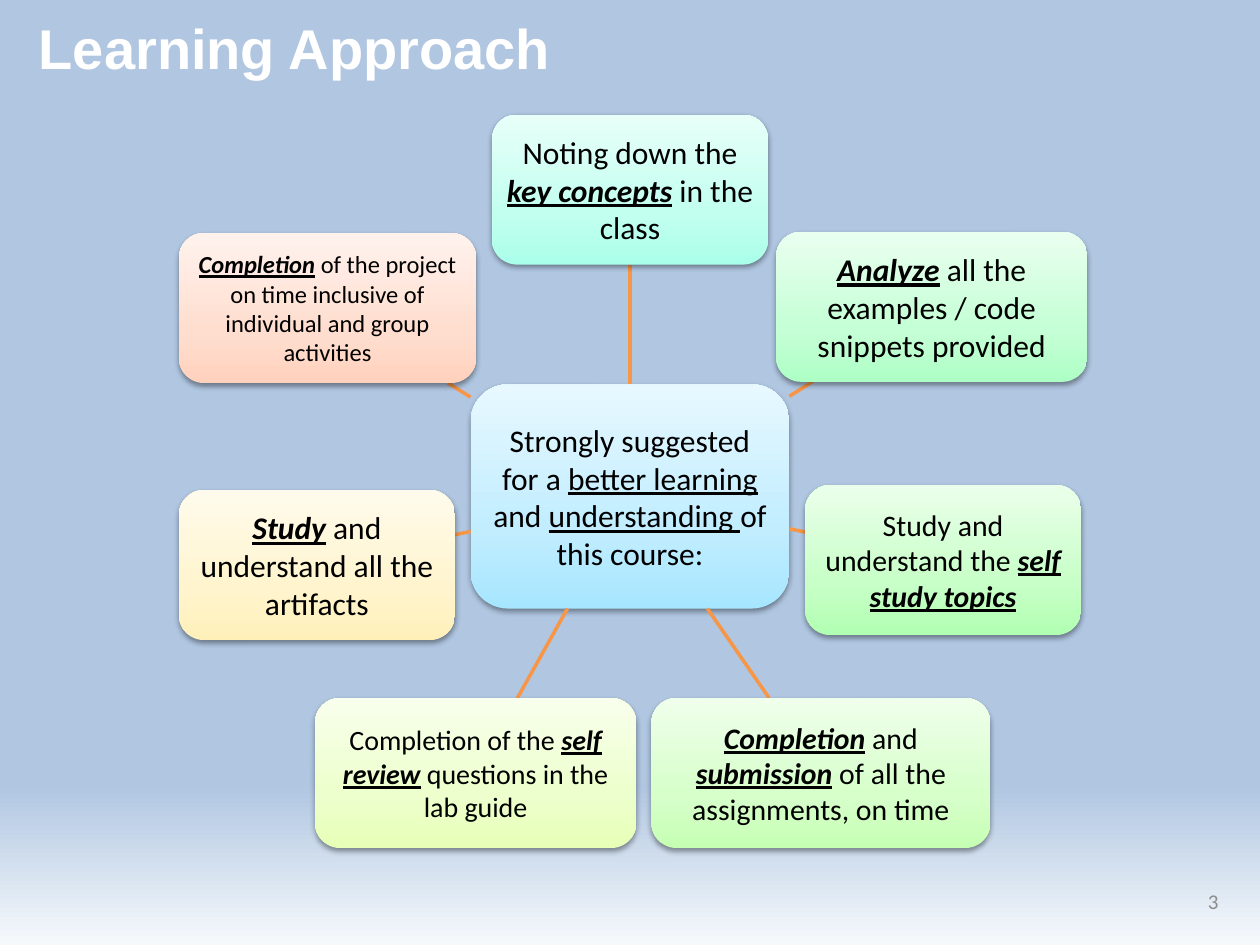
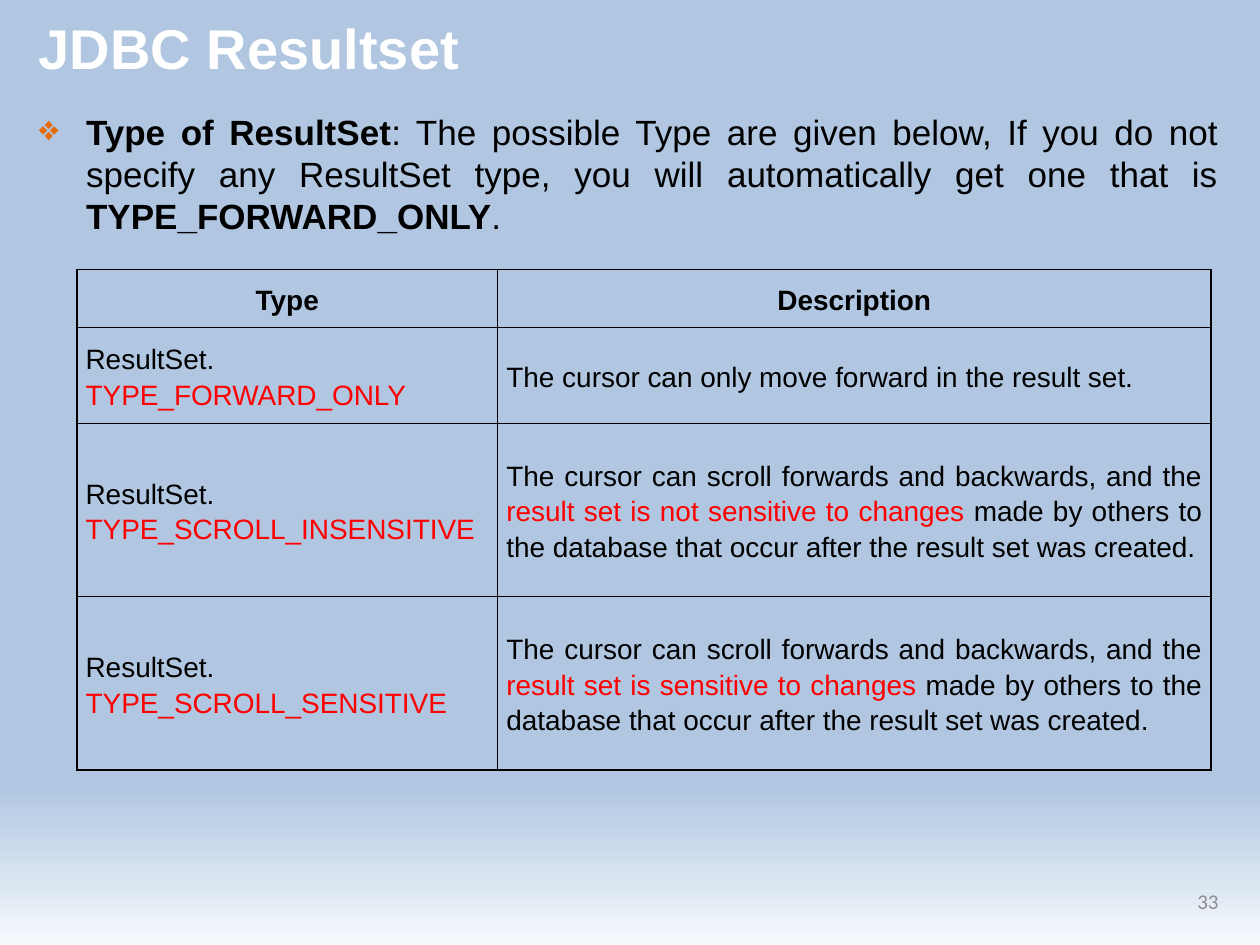
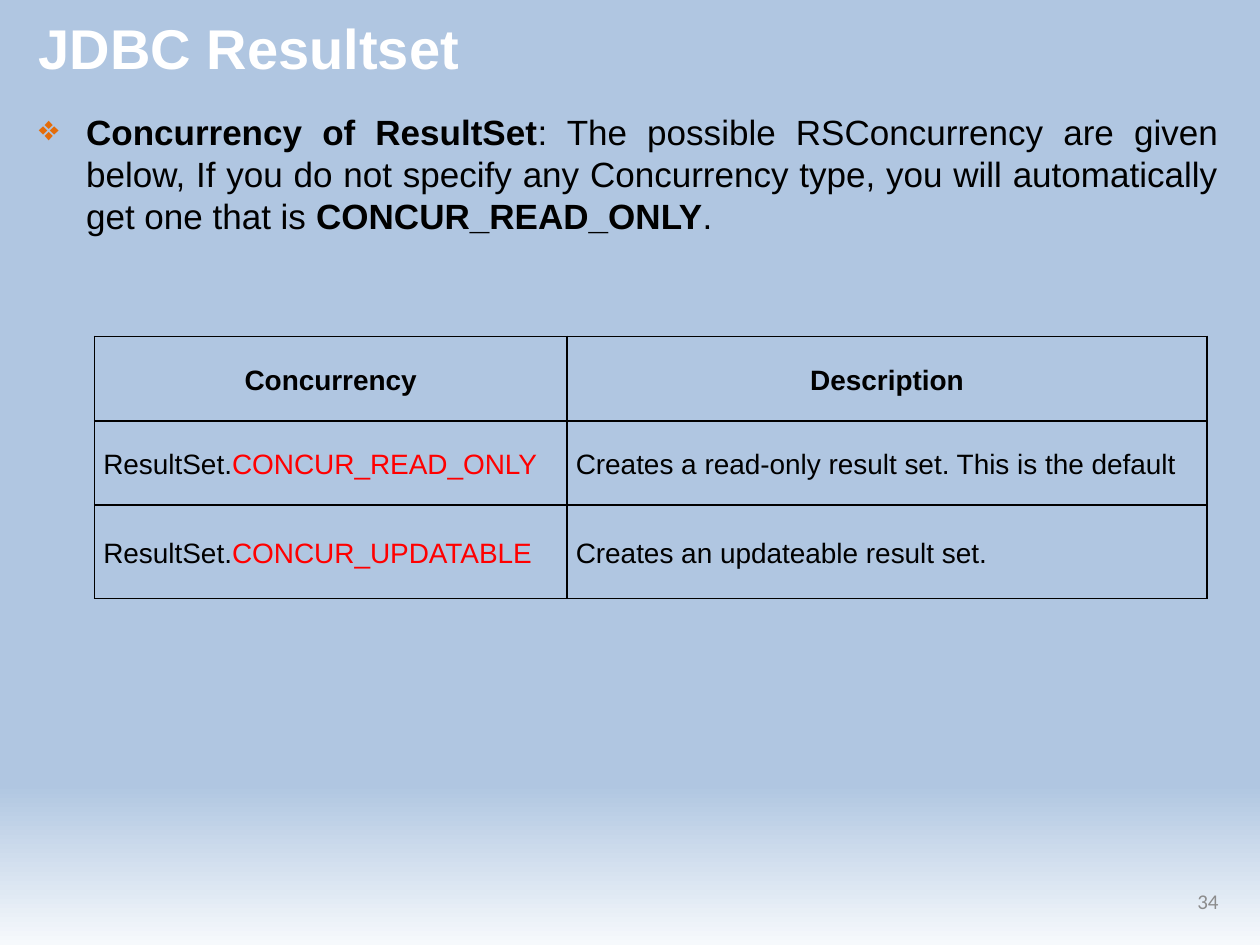
import copy

from pptx import Presentation
from pptx import util as u
from pptx.dml.color import RGBColor
from pptx.enum import shapes, text
from pptx.oxml import parse_xml
from pptx.oxml.ns import nsdecls, qn

WHITE = RGBColor(0xFF, 0xFF, 0xFF)
BLACK = RGBColor(0, 0, 0)
RED = RGBColor(0xFF, 0, 0)
GREY = RGBColor(0x8C, 0x8C, 0x8C)
ORANGE = RGBColor(0xF7, 0x96, 0x46)
BULLET = RGBColor(0xE4, 0x6C, 0x0A)
SKY = RGBColor(0xB0, 0xC6, 0xE1)
HORIZON = RGBColor(0xF6, 0xF9, 0xFC)

LEFT, CENTER, RIGHT, JUSTIFY = (
    text.PP_ALIGN.LEFT, text.PP_ALIGN.CENTER, text.PP_ALIGN.RIGHT, text.PP_ALIGN.JUSTIFY)
TOP, MIDDLE = text.MSO_ANCHOR.TOP, text.MSO_ANCHOR.MIDDLE
STRONG = dict(bold=True, italic=True, underline=True)

prs = Presentation()
prs.slide_width, prs.slide_height = u.Inches(10), u.Inches(7.5)
UNIT = prs.slide_width / 100  # the slide is a grid of 100 columns by 75 rows


def grid(*cells):
    return [u.Emu(round(c * UNIT)) for c in cells]


def write(box, content, size, font="Arial", color=BLACK, bold=False, align=LEFT,
          anchor=MIDDLE, inset=None, spacing=None, emph=None):
    """Fill a shape or table cell; parts between asterisks take the emph format."""
    tf = box.text_frame
    tf.word_wrap = True
    host = box if hasattr(box, "margin_left") else tf
    host.vertical_anchor = anchor
    if inset is not None:
        host.margin_left = host.margin_right = host.margin_top = host.margin_bottom = grid(inset)[0]
    for i, line in enumerate(content.split("\n")):
        p = tf.add_paragraph() if i else tf.paragraphs[0]
        p.alignment = align
        p.line_spacing = spacing
        for j, part in enumerate(line.split("*")):
            if not part:
                continue
            style = dict(color=color, bold=bold)
            if j % 2:
                style.update(emph)
            r = p.add_run()
            r.text = part
            r.font.name, r.font.size = font, u.Pt(size)
            r.font.color.rgb = style.pop("color")
            for key, value in style.items():
                setattr(r.font, key, value)


# Background, title and number of every slide
slides = []
for title, number in [("Learning Approach", 3), ("JDBC Resultset", 33), ("JDBC Resultset", 34)]:
    s = prs.slides.add_slide(prs.slide_layouts[6])
    slides.append(s)
    fill = s.background.fill
    fill.gradient()
    fill.gradient_angle = 270
    for stop, color, position in zip(fill.gradient_stops, (SKY, HORIZON), (0.83, 1)):
        stop.color.rgb, stop.position = color, position
    write(s.shapes.add_textbox(*grid(2.1, 0.4, 95.6, 6.7)), title, 32, color=WHITE, bold=True)
    write(s.shapes.add_textbox(*grid(71.7, 69.5, 26, 4)), str(number), 12, font="Calibri",
          color=GREY, align=RIGHT)

# Learning approach: hub first, then the nodes clockwise
# centre x, centre y, width, height, gradient from bottom to top, text size, text
HUB_FORMAT = dict(underline=True)
nodes = [
    (50, 39.4, 25.3, 17.8, "A7E6FF C1EDFF E7F8FF", 18,
     "Strongly suggested for a *better learning *and *understanding *of this course:"),
    (50, 15.05, 21.9, 11.9, "AAFFEA C3FFEF E8FFF9", 18,
     "Noting down the *key concepts* in the class"),
    (73.95, 24.35, 24.7, 11.9, "AEFFC6 C5FFD6 E9FFEF", 18,
     "*Analyze* all the examples / code snippets provided"),
    (74.85, 44.45, 21.9, 11.9, "B1FFB2 C8FFC8 EAFFEA", 17,
     "Study and understand the *self study topics*"),
    (65.15, 61.35, 26.9, 11.9, "C6FFB4 D6FFCA EFFFEB", 17,
     "*Completion* and *submission* of all the assignments, on time"),
    (37.75, 61.35, 25.5, 11.9, "E7FFB7 EDFFCC F8FFEC", 16,
     "Completion of the *self* *review* questions in the lab guide"),
    (25.15, 44.85, 21.9, 11.9, "FFF0BA FFF4CE FFFBEC", 18,
     "*Study* and understand all the artifacts"),
    (26, 24.45, 23.6, 11.9, "FFD2BD FFDED0 FFF2ED", 14,
     "*Completion* of the project on time inclusive of individual and group activities"),
]
s = slides[0]
hub_x, hub_y, hub_w, hub_h = nodes[0][:4]
hub = None
for x, y, w, h, colors, size, content in nodes:
    # Spoke along the line between centres, cut at both edges
    if hub:
        dx, dy = x - hub_x, y - hub_y
        start = 0.5 / max(abs(dx) / hub_w, abs(dy) / hub_h)
        end = 1 - 0.5 / max(abs(dx) / w, abs(dy) / h)
        spoke = s.shapes.add_connector(
            shapes.MSO_CONNECTOR.STRAIGHT,
            *grid(hub_x + dx * start, hub_y + dy * start, hub_x + dx * end, hub_y + dy * end))
        spoke.line.color.rgb, spoke.line.width = ORANGE, u.Pt(2)
        spoke._element.spPr.append(parse_xml(f"<a:effectLst {nsdecls('a')}/>"))

    # Rounded box with its gradient and soft shadow
    sp = s.shapes.add_shape(shapes.MSO_SHAPE.ROUNDED_RECTANGLE,
                            *grid(x - w / 2, y - h / 2, w, h))
    sp.line.fill.background()
    sp.fill.gradient()
    sp.fill.gradient_angle = 90
    stops = sp._element.spPr.find(qn("a:gradFill")).find(qn("a:gsLst"))
    stops.insert(1, copy.deepcopy(stops[0]))
    for stop, color, position in zip(sp.fill.gradient_stops, colors.split(), (0, 0.35, 1)):
        stop.color.rgb, stop.position = RGBColor.from_string(color), position
    sp.shadow.inherit = False
    sp._element.spPr.find(qn("a:effectLst")).append(parse_xml(
        f'<a:outerShdw {nsdecls("a")} blurRad="40000" dist="20000" dir="5400000" rotWithShape="0">'
        '<a:srgbClr val="000000"><a:alpha val="38000"/></a:srgbClr></a:outerShdw>'))
    write(sp, content, size, font="Calibri", align=CENTER, inset=0.5,
          emph=STRONG if hub else HUB_FORMAT)
    if hub and dx == 0:
        spoke.begin_connect(hub, 0)
        spoke.end_connect(sp, 2)
    hub = hub or sp

# Result set slides: bullet text, table corner, columns, rows, cells
tables = [
    ("*Type of ResultSet*: The possible Type are given below, If you do not specify any "
     "ResultSet type, you will automatically get one that is *TYPE_FORWARD_ONLY*.",
     (6.1, 21.4), (33.4, 56.6), (4.6, 7.6, 13.75, 13.75), [
         ("Type", "Description"),
         ("ResultSet.\n*TYPE_FORWARD_ONLY*",
          "The cursor can only move forward in the result set."),
         ("ResultSet.\n*TYPE_SCROLL_INSENSITIVE*",
          "The cursor can scroll forwards and backwards, and the *result set is not sensitive to "
          "changes *made by others to the database that occur after the result set was created."),
         ("ResultSet.\n*TYPE_SCROLL_SENSITIVE*",
          "The cursor can scroll forwards and backwards, and the *result set is sensitive to "
          "changes* made by others to the database that occur after the result set was created."),
     ]),
    ("*Concurrency of ResultSet*: The possible RSConcurrency are given below, If you do not "
     "specify any Concurrency type, you will automatically get one that is *CONCUR_READ_ONLY*.",
     (7.5, 26.7), (37.5, 50.8), (6.7, 6.7, 7.4), [
         ("Concurrency", "Description"),
         ("ResultSet.*CONCUR_READ_ONLY*", "Creates a read-only result set. This is the default"),
         ("ResultSet.*CONCUR_UPDATABLE*", "Creates an updateable result set."),
     ]),
]
for s, (intro, corner, cols, rows, cells) in zip(slides[1:], tables):
    # Bulleted introduction
    body = s.shapes.add_textbox(*grid(2.1, 8.3, 95.6, 59.9))
    write(body, intro, 20, align=JUSTIFY, anchor=TOP, emph=dict(bold=True))
    p = body.text_frame.paragraphs[0]
    p.space_before = u.Pt(4)
    pPr = p._p.get_or_add_pPr()
    indent = grid(3.75)[0]
    pPr.set("marL", str(indent))
    pPr.set("indent", str(-indent))
    pPr.append(parse_xml(f'<a:buClr {nsdecls("a")}><a:srgbClr val="{BULLET}"/></a:buClr>'))
    pPr.append(parse_xml(f'<a:buChar {nsdecls("a")} char="❖"/>'))

    # Ruled table without fill
    table = s.shapes.add_table(len(rows), len(cols),
                               *grid(*corner, sum(cols), sum(rows))).table
    table.first_row = table.horz_banding = False
    for column, width in zip(table.columns, grid(*cols)):
        column.width = width
    for row, height in zip(table.rows, grid(*rows)):
        row.height = height
    for i, row in enumerate(cells):
        for j, content in enumerate(row):
            cell = table.cell(i, j)
            align = CENTER if i == 0 else (LEFT, JUSTIFY)[j]
            write(cell, content, 16, bold=i == 0, align=align, inset=0.7, spacing=1.15,
                  emph=dict(color=RED))
            for side in "LRTB":
                cell._tc.get_or_add_tcPr().append(parse_xml(
                    f'<a:ln{side} {nsdecls("a")} w="12700"><a:solidFill>'
                    f'<a:srgbClr val="{BLACK}"/></a:solidFill></a:ln{side}>'))
            cell.fill.background()

prs.save("out.pptx")
